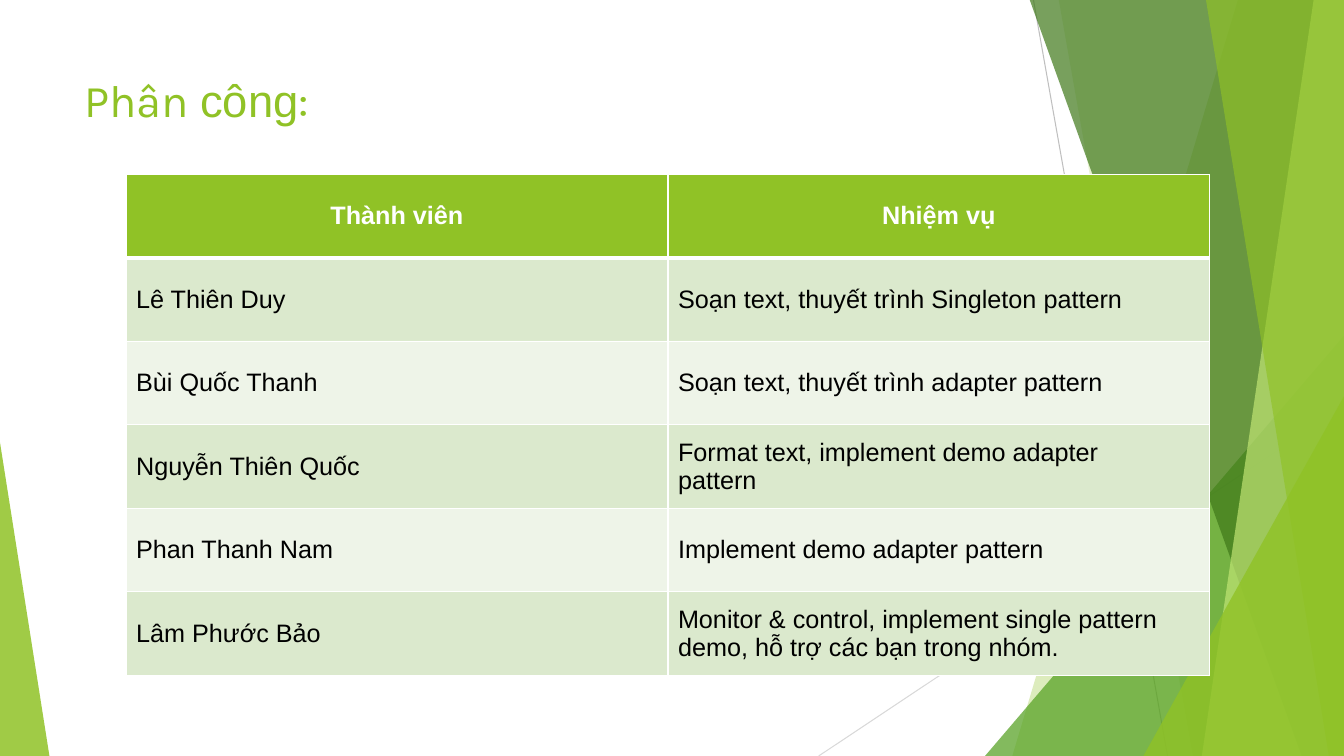
from dataclasses import dataclass

import pptx
import pptx.dml.color
import pptx.enum.shapes
import pptx.enum.text
import pptx.oxml
import pptx.oxml.ns
import pptx.util
from pptx.util import Inches

COLORS = {
    "green": "90C226",
    "leaf": "54A021",
    "forest": "3F7819",
    "lime": "C0E474",
    "gray": "BFBFBF",
    "pale gray": "D9D9D9",
    "dark band": "DBE9CD",
    "light band": "EEF4E8",
    "white": "FFFFFF",
    "black": "000000",
}
WIDTH, HEIGHT = 13.33, 7.5
FACET_TOP = -0.01


@dataclass
class Ray:
    start: tuple[float, float]
    end: tuple[float, float]
    color: str


@dataclass
class Facet:
    """A four-sided panel that reaches the right edge of the slide."""
    top_left: float
    bottom_left: float
    color: str
    opacity: int


@dataclass
class Triangle:
    left: float
    top: float
    width: float
    apex: float
    color: str
    opacity: int


@dataclass
class Assignment:
    member: str
    task: str


RAYS = [
    Ray((10.25, 0), (11.58, HEIGHT), "gray"),
    Ray((WIDTH, 4.03), (8.12, HEIGHT), "pale gray"),
]
# From back to front
PANELS = [
    Facet(12.28, 10.04, "green", 30),
    Facet(10.5, 11.83, "green", 20),
    Triangle(9.77, 3.33, 3.56, 1, "leaf", 72),
    Facet(10.21, 12.91, "forest", 70),
    Facet(13.03, 11.92, "lime", 70),
    Facet(11.96, 13.18, "green", 65),
    Triangle(11.34, 3.93, 1.99, 1, "green", 80),
    Triangle(0, 4.39, 0.49, 0, "green", 85),
]
TITLE_RUNS = [("Phân ", "Karla"), ("công", "Arial"), (":", "Karla")]
HEADER = Assignment("Thành viên", "Nhiệm vụ")
ASSIGNMENTS = [
    Assignment("Lê Thiên Duy", "Soạn text, thuyết trình Singleton pattern"),
    Assignment("Bùi Quốc Thanh", "Soạn text, thuyết trình adapter pattern"),
    Assignment("Nguyễn Thiên Quốc", "Format text, implement demo adapter pattern"),
    Assignment("Phan Thanh Nam", "Implement demo adapter pattern"),
    Assignment("Lâm Phước Bảo", "Monitor & control, implement single pattern demo, "
                                "hỗ trợ các bạn trong nhóm."),
]


def rgb(name: str) -> pptx.dml.color.RGBColor:
    return pptx.dml.color.RGBColor.from_string(COLORS[name])


def draw_ray(slide, ray: Ray) -> None:
    points = [Inches(value) for value in (*ray.start, *ray.end)]
    connector = slide.shapes.add_connector(
        pptx.enum.shapes.MSO_CONNECTOR.STRAIGHT, *points)
    connector.line.color.rgb = rgb(ray.color)
    connector.line.width = pptx.util.Pt(0.75)
    connector._element.spPr.append(
        pptx.oxml.parse_xml(f'<a:effectLst {pptx.oxml.ns.nsdecls("a")}/>'))


def draw_panel(slide, panel: Facet | Triangle) -> None:
    if isinstance(panel, Facet):
        builder = slide.shapes.build_freeform(
            Inches(panel.top_left), Inches(FACET_TOP))
        corners = [(WIDTH, FACET_TOP), (WIDTH, HEIGHT), (panel.bottom_left, HEIGHT)]
        builder.add_line_segments([(Inches(x), Inches(y)) for x, y in corners])
        shape = builder.convert_to_shape()
    else:
        shape = slide.shapes.add_shape(
            pptx.enum.shapes.MSO_SHAPE.ISOSCELES_TRIANGLE,
            Inches(panel.left), Inches(panel.top),
            Inches(panel.width), Inches(HEIGHT - panel.top))
        shape.adjustments[0] = panel.apex
    shape.shadow.inherit = False
    shape.line.fill.background()
    shape.fill.solid()
    shape.fill.fore_color.rgb = rgb(panel.color)
    color = shape._element.spPr.find(".//" + pptx.oxml.ns.qn("a:srgbClr"))
    color.append(pptx.oxml.parse_xml(
        f'<a:alpha {pptx.oxml.ns.nsdecls("a")} val="{panel.opacity * 1000}"/>'))


def draw_title(slide) -> None:
    box = slide.shapes.add_textbox(
        Inches(0.74), Inches(0.67), Inches(9.4), Inches(0.66))
    box.text_frame.word_wrap = True
    paragraph = box.text_frame.paragraphs[0]
    paragraph.font.size = pptx.util.Pt(32.4)
    paragraph.font.color.rgb = rgb("green")
    for text, font_name in TITLE_RUNS:
        run = paragraph.add_run()
        run.text = text
        run.font.name = font_name


def set_borders(cell, bottom_width: float) -> None:
    widths = {"lnL": 1, "lnR": 1, "lnT": 1, "lnB": bottom_width}
    properties = cell._tc.get_or_add_tcPr()
    for index, (side, width) in enumerate(widths.items()):
        properties.insert(index, pptx.oxml.parse_xml(
            f'<a:{side} {pptx.oxml.ns.nsdecls("a")} w="{pptx.util.Pt(width)}">'
            f'<a:solidFill><a:srgbClr val="{COLORS["white"]}"/></a:solidFill>'
            f'</a:{side}>'))


def fill_cell(cell, text: str, fill: str, is_header: bool) -> None:
    cell.text = text
    cell.vertical_anchor = pptx.enum.text.MSO_ANCHOR.MIDDLE
    cell.fill.solid()
    cell.fill.fore_color.rgb = rgb(fill)
    set_borders(cell, 3 if is_header else 1)
    paragraph = cell.text_frame.paragraphs[0]
    paragraph.font.name = "Arial"
    paragraph.font.size = pptx.util.Pt(18)
    paragraph.font.bold = is_header
    paragraph.font.color.rgb = rgb("white" if is_header else "black")
    if is_header:
        paragraph.alignment = pptx.enum.text.PP_ALIGN.CENTER
    else:
        cell.margin_right = Inches(0.4)


def draw_assignments(slide) -> None:
    rows = [HEADER, *ASSIGNMENTS]
    table = slide.shapes.add_table(
        len(rows), 2, Inches(1.25), Inches(1.73), Inches(10.75), Inches(4.97)).table
    for index, row in enumerate(rows):
        is_header = index == 0
        band = "dark band" if index % 2 else "light band"
        for column, text in enumerate((row.member, row.task)):
            fill_cell(table.cell(index, column), text,
                      "green" if is_header else band, is_header)


def main() -> None:
    presentation = pptx.Presentation()
    presentation.slide_width = Inches(WIDTH)
    presentation.slide_height = Inches(HEIGHT)
    slide = presentation.slides.add_slide(presentation.slide_layouts[6])
    for ray in RAYS:
        draw_ray(slide, ray)
    for panel in PANELS:
        draw_panel(slide, panel)
    draw_title(slide)
    draw_assignments(slide)
    presentation.save("out.pptx")


if __name__ == "__main__":
    main()
